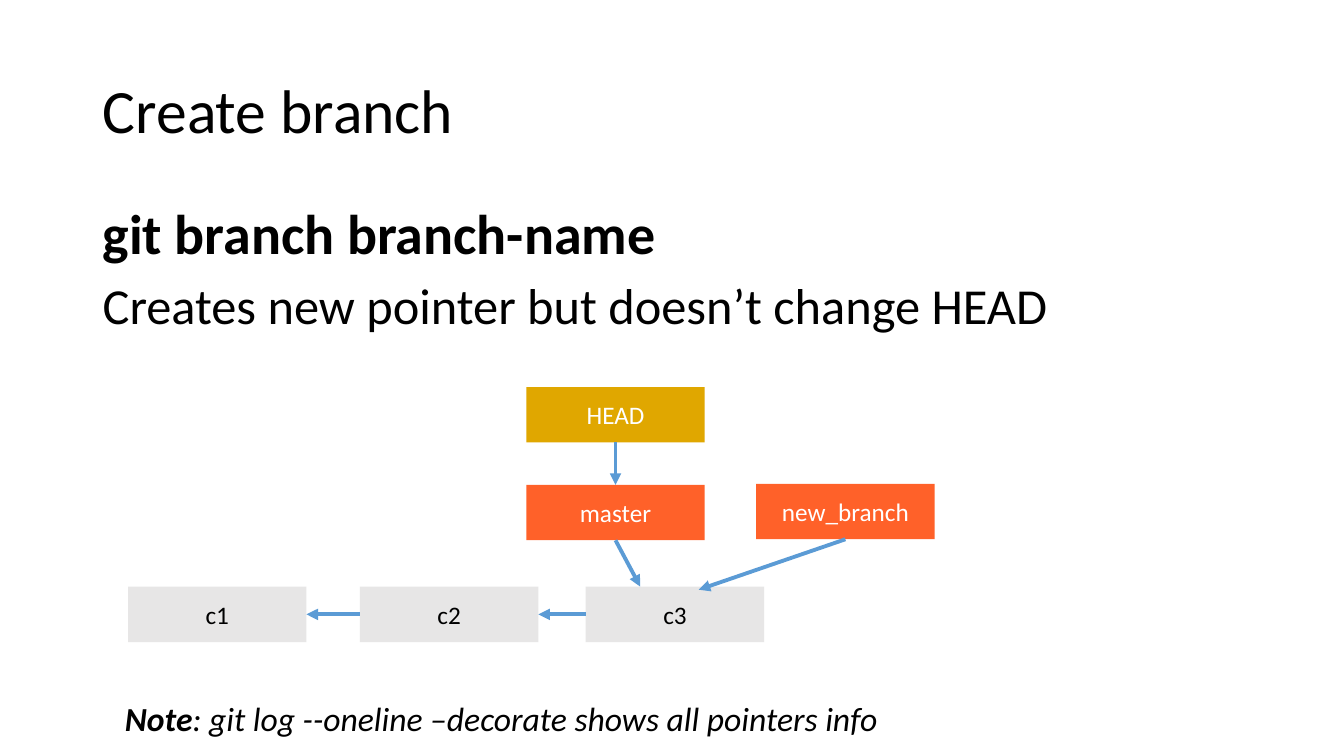
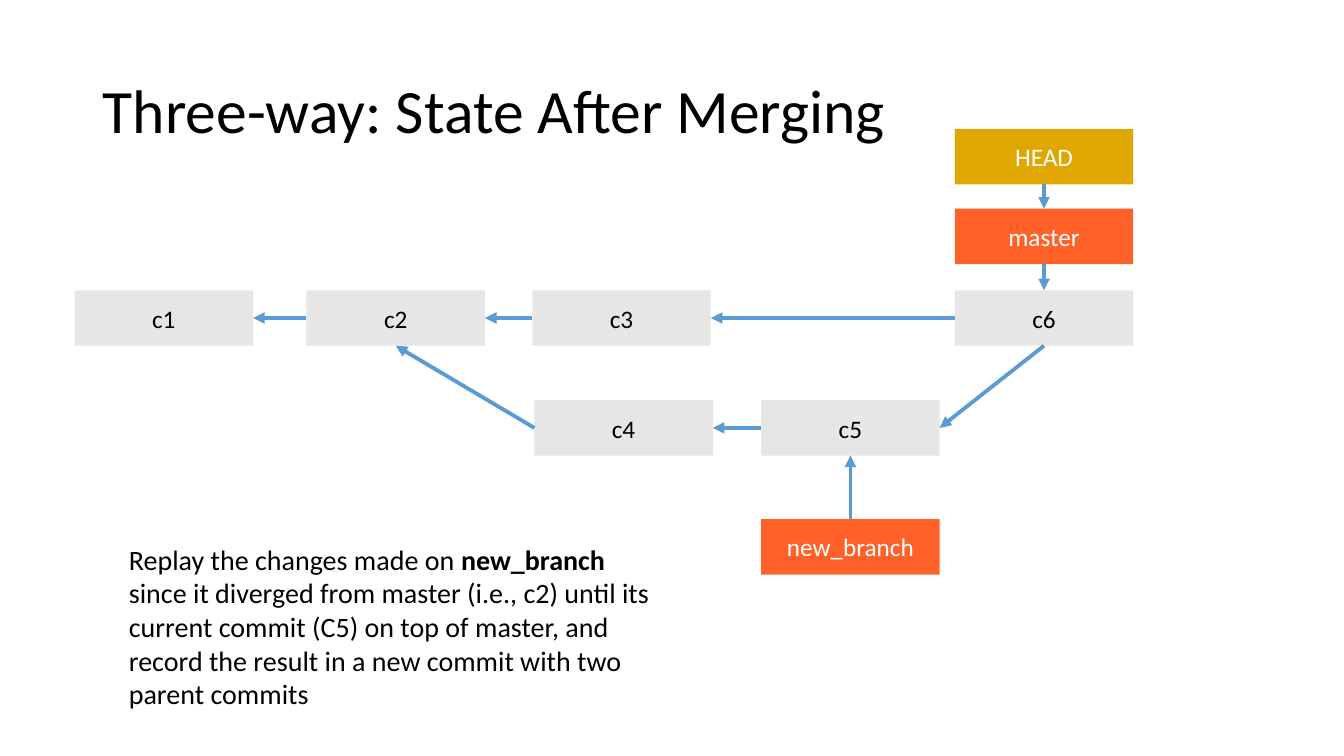
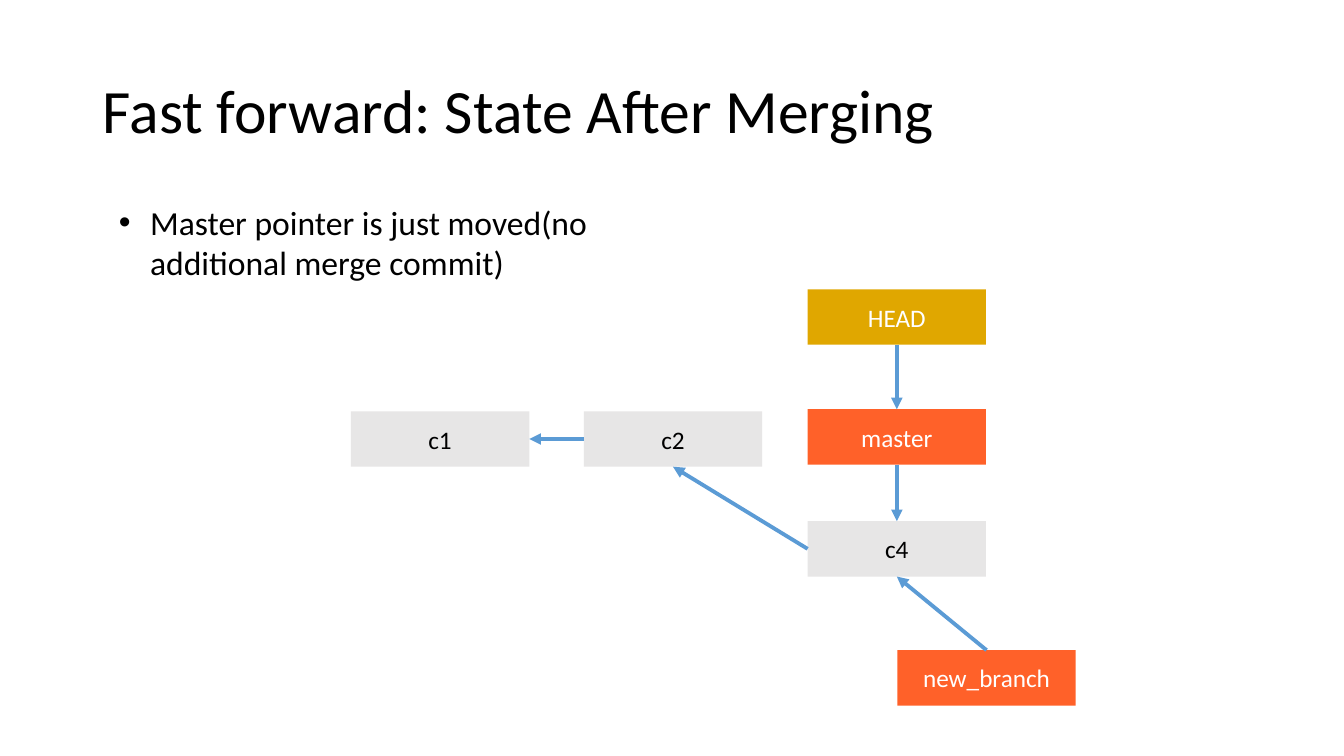
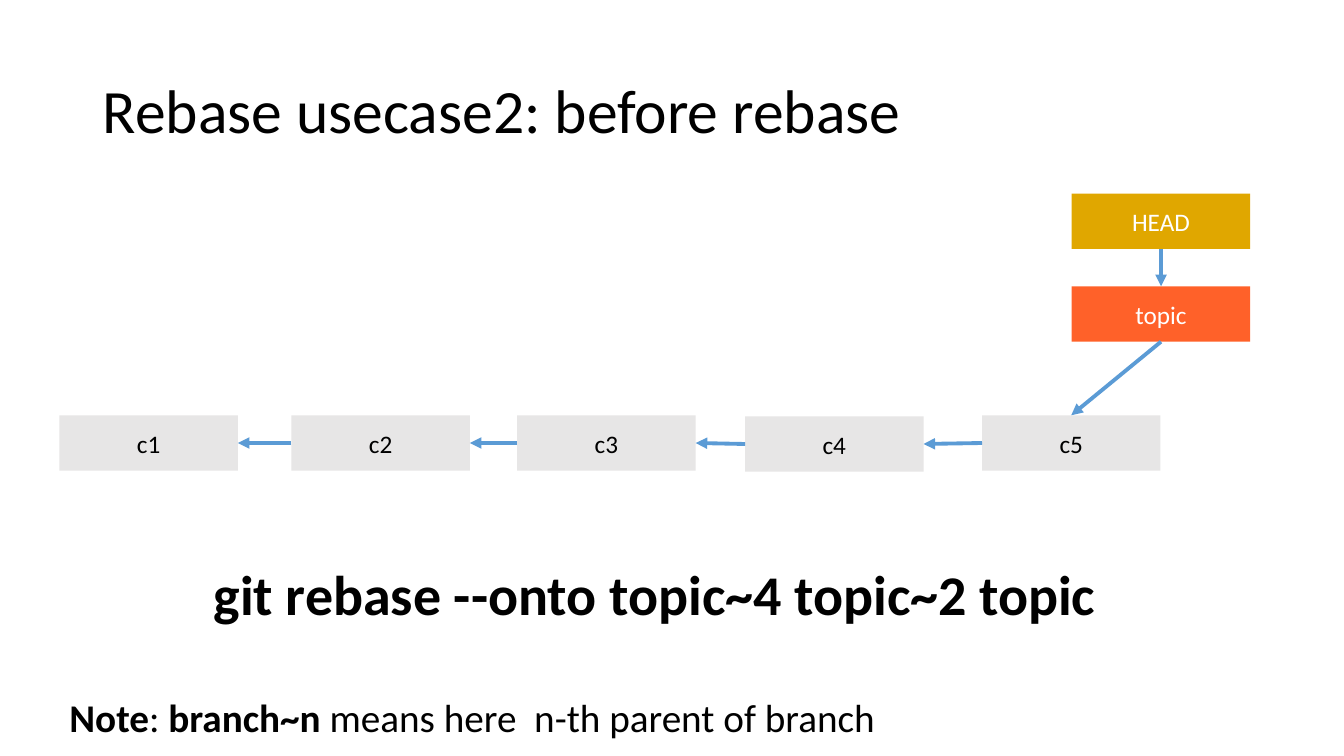
from lxml import etree
from pptx import Presentation
from pptx.dml.color import RGBColor
from pptx.enum import shapes, text
from pptx.oxml import ns
from pptx.util import Inches, Pt

BLACK = RGBColor(0x00, 0x00, 0x00)
WHITE = RGBColor(0xFF, 0xFF, 0xFF)
GREY = RGBColor(0xE7, 0xE6, 0xE6)
ORANGE = RGBColor(0xFF, 0x61, 0x29)
GOLD = RGBColor(0xE0, 0xA7, 0x00)
BLUE = RGBColor(0x5B, 0x9B, 0xD5)

FONT = "Calibri"
NODE_WIDTH, NODE_HEIGHT = 1.77, 0.55
TOP, LEFT, BOTTOM, RIGHT = range(4)


def style_font(font, size, color=BLACK, bold=None, italic=None):
    font.name = FONT
    font.size = Pt(size)
    font.color.rgb = color
    font.bold = bold
    font.italic = italic


def add_page(deck, title):
    page = deck.slides.add_slide(deck.slide_layouts[5])
    holder = page.shapes.title
    holder.left, holder.top = Inches(0.92), Inches(0.4)
    holder.width, holder.height = Inches(11.5), Inches(1.45)
    frame = holder.text_frame
    frame.text = title
    frame.auto_size = text.MSO_AUTO_SIZE.NONE
    frame.vertical_anchor = text.MSO_ANCHOR.MIDDLE
    para = frame.paragraphs[0]
    para.alignment = text.PP_ALIGN.LEFT
    para.line_spacing = 0.9
    style_font(para.font, 44)
    return page


def add_text(page, left, top, width, height, wrap=True):
    box = page.shapes.add_textbox(Inches(left), Inches(top), Inches(width), Inches(height))
    box.text_frame.word_wrap = wrap
    return box.text_frame


def fill_para(para, pieces, size, italic=None):
    style_font(para.font, size, italic=italic)
    for words, bold in pieces:
        span = para.add_run()
        span.text = words
        style_font(span.font, size, bold=bold, italic=italic)


def add_bullet(para, indent):
    props = para._p.get_or_add_pPr()
    props.set("marL", str(Inches(indent)))
    props.set("indent", str(-Inches(indent)))
    etree.SubElement(props, ns.qn("a:buFont")).set("typeface", "Arial")
    etree.SubElement(props, ns.qn("a:buChar")).set("char", "•")


def add_node(page, name, left, top):
    node = page.shapes.add_shape(
        shapes.MSO_SHAPE.RECTANGLE,
        Inches(left), Inches(top), Inches(NODE_WIDTH), Inches(NODE_HEIGHT))
    is_commit = name[1:].isdigit()
    node.shadow.inherit = False
    node.fill.solid()
    node.fill.fore_color.rgb = GREY if is_commit else GOLD if name == "HEAD" else ORANGE
    node.line.fill.background()
    frame = node.text_frame
    frame.text = name
    frame.vertical_anchor = text.MSO_ANCHOR.MIDDLE
    para = frame.paragraphs[0]
    para.alignment = text.PP_ALIGN.CENTER
    style_font(para.font, 18, BLACK if is_commit else WHITE)
    return node


def add_arrow(page, start, start_side, end, end_side, end_point):
    arrow = page.shapes.add_connector(shapes.MSO_CONNECTOR.STRAIGHT, 0, 0, 0, 0)
    arrow.begin_connect(start, start_side)
    if end_point:
        arrow.end_x, arrow.end_y = (Inches(value) for value in end_point)
    else:
        arrow.end_connect(end, end_side)
    arrow.line.color.rgb = BLUE
    arrow.line.width = Pt(2.75)
    line = arrow.line._get_or_add_ln()
    etree.SubElement(line, ns.qn("a:tailEnd")).set("type", "triangle")
    etree.SubElement(arrow._element.spPr, ns.qn("a:effectLst"))


def draw_graph(page, left, top, places, links):
    nodes = {name: add_node(page, name, left + x, top + y) for name, (x, y) in places.items()}
    for start, start_side, end, target in links:
        offset = target if isinstance(target, tuple) else None
        point = None
        if offset:
            x, y = places[end]
            point = (left + x + offset[0], top + y + offset[1])
        add_arrow(page, nodes[start], start_side, nodes[end], target, point)


def back_links(*names):
    return [(child, LEFT, parent, RIGHT) for parent, child in zip(names, names[1:])]


def down_links(*names):
    return [(upper, BOTTOM, lower, TOP) for upper, lower in zip(names, names[1:])]


def create_branch(deck):
    page = add_page(deck, "Create branch")
    body = add_text(page, 0.92, 2, 11.5, 1.6)
    command = body.paragraphs[0]
    fill_para(command, [("git branch branch-name", True)], 40)
    effect = body.add_paragraph()
    effect.space_before = Pt(10)
    fill_para(effect, [("Creates new pointer but doesn’t change HEAD", None)], 36)
    for para in body.paragraphs:
        para.line_spacing = 0.9
    places = {
        "c1": (0, 1.98), "c2": (2.3, 1.98), "c3": (4.54, 1.98),
        "master": (3.95, 0.97), "new_branch": (6.23, 0.96), "HEAD": (3.95, 0),
    }
    links = back_links("c1", "c2", "c3") + down_links("HEAD", "master") + [
        ("new_branch", BOTTOM, "c3", (1.12, 0.03)),
        ("master", BOTTOM, "c3", (0.54, 0)),
    ]
    draw_graph(page, 1.27, 3.84, places, links)
    note = add_text(page, 1.14, 6.87, 7.75, 0.5, wrap=False)
    fill_para(note.paragraphs[0], [
        ("Note", True),
        (": git log --oneline –decorate shows all pointers info", None),
    ], 24, italic=True)


def three_way_merge(deck):
    page = add_page(deck, "Three-way: State After Merging")
    places = {
        "c1": (0, 1.6), "c2": (2.3, 1.6), "c3": (4.54, 1.6), "c6": (8.73, 1.6),
        "c4": (4.56, 2.69), "c5": (6.81, 2.69),
        "HEAD": (8.73, 0), "master": (8.73, 0.79), "new_branch": (6.81, 3.87),
    }
    links = back_links("c1", "c2", "c3", "c6") + back_links("c4", "c5")
    links += down_links("HEAD", "master", "c6") + [
        ("new_branch", TOP, "c5", BOTTOM),
        ("c4", LEFT, "c2", BOTTOM),
        ("c6", BOTTOM, "c5", RIGHT),
    ]
    draw_graph(page, 0.74, 1.28, places, links)
    summary = add_text(page, 1.18, 5.33, 5.5, 2.12)
    fill_para(summary.paragraphs[0], [
        ("Replay the changes made on ", None),
        ("new_branch", True),
        (" since it diverged from master (i.e., c2) until its current commit (C5) on top of "
         "master, and record the result in a new commit with two parent commits", None),
    ], 20)


def fast_forward(deck):
    page = add_page(deck, "Fast forward: State After Merging")
    places = {
        "c1": (0, 1.21), "c2": (2.31, 1.21), "c4": (4.53, 2.3),
        "HEAD": (4.53, 0), "master": (4.53, 1.19), "new_branch": (5.42, 3.58),
    }
    links = back_links("c1", "c2") + down_links("HEAD", "master", "c4") + [
        ("new_branch", TOP, "c4", BOTTOM),
        ("c4", LEFT, "c2", BOTTOM),
    ]
    draw_graph(page, 3.48, 2.87, places, links)
    remark = add_text(page, 1.08, 1.95, 5.69, 0.91).paragraphs[0]
    add_bullet(remark, 0.31)
    fill_para(remark, [("Master pointer is just moved(no additional merge commit)", None)], 24)


def before_rebase(deck):
    page = add_page(deck, "Rebase usecase2: before rebase")
    places = {
        "c1": (0, 2.2), "c2": (2.3, 2.2), "c3": (4.54, 2.2), "c4": (6.8, 2.21),
        "c5": (9.15, 2.2), "topic": (10.04, 0.92), "HEAD": (10.04, 0),
    }
    links = back_links("c1", "c2", "c3", "c4", "c5") + down_links("HEAD", "topic", "c5")
    draw_graph(page, 0.59, 1.92, places, links)
    command = add_text(page, 2.02, 5.5, 9.05, 0.77, wrap=False)
    fill_para(command.paragraphs[0], [("git rebase --onto topic~4 topic~2 topic", True)], 40)
    note = add_text(page, 0.59, 6.83, 8.29, 0.57, wrap=False)
    fill_para(note.paragraphs[0], [
        ("Note", True),
        (": ", None),
        ("branch~n", True),
        (" means here  n-th parent of branch", None),
    ], 28)


def main():
    deck = Presentation()
    deck.slide_width, deck.slide_height = Inches(13.33), Inches(7.5)
    for build in (create_branch, three_way_merge, fast_forward, before_rebase):
        build(deck)
    deck.save("out.pptx")


if __name__ == "__main__":
    main()
